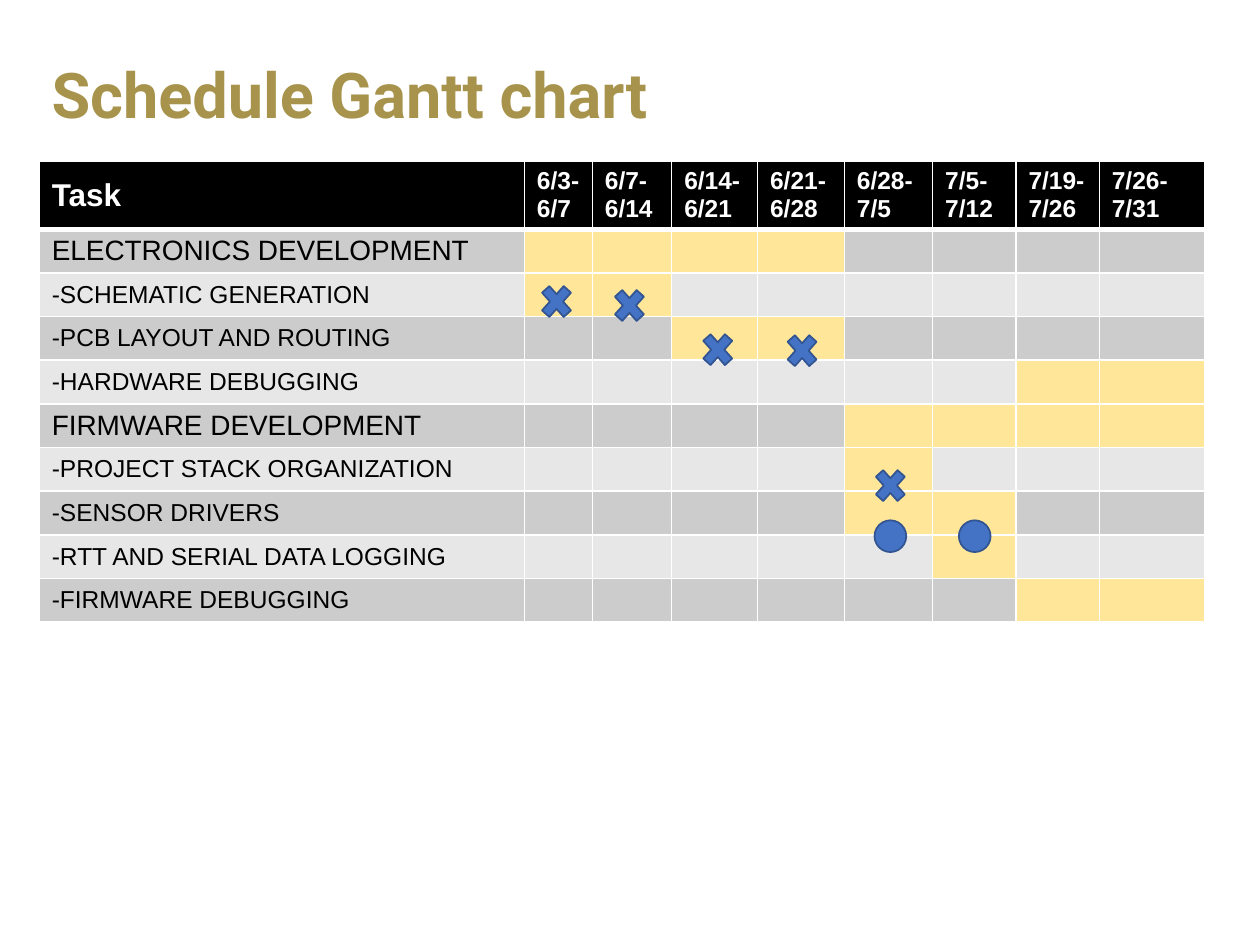
from lxml.etree import SubElement
from pptx import Presentation
from pptx.dml.color import RGBColor
from pptx.enum.shapes import MSO_SHAPE as SHAPE
from pptx.enum.text import MSO_ANCHOR as ANCHOR
from pptx.oxml.ns import qn
from pptx.util import Cm, Pt

GOLD = RGBColor(0xA7, 0x93, 0x4B)
WHITE = RGBColor(0xFF, 0xFF, 0xFF)
BLACK = RGBColor(0, 0, 0)
DARK_GREY = RGBColor(0xCC, 0xCC, 0xCC)
LIGHT_GREY = RGBColor(0xE7, 0xE7, 0xE7)
YELLOW = RGBColor(0xFF, 0xE6, 0x99)
BLUE = RGBColor(0x44, 0x72, 0xC4)
NAVY = RGBColor(0x32, 0x54, 0x91)

HEADERS = ["Task", "6/3-6/7", "6/7-6/14", "6/14-6/21", "6/21-6/28",
           "6/28-7/5", "7/5-7/12", "7/19-7/26", "7/26-7/31"]
COLUMN_WIDTHS = [9.78, 1.37, 1.6, 1.73, 1.75, 1.78, 1.68, 1.68, 2.13]
HEADER_HEIGHT, ROW_HEIGHT = 1.37, 0.88

# Task and the columns in which it is planned
TASKS = [
    ("ELECTRONICS DEVELOPMENT", (1, 2, 3, 4)),
    ("-SCHEMATIC GENERATION", (1, 2)),
    ("-PCB LAYOUT AND ROUTING", (3, 4)),
    ("-HARDWARE DEBUGGING", (7, 8)),
    ("FIRMWARE DEVELOPMENT", (5, 6, 7, 8)),
    ("-PROJECT STACK ORGANIZATION", (5,)),
    ("-SENSOR DRIVERS", (5, 6)),
    ("-RTT AND SERIAL DATA LOGGING", (6,)),
    ("-FIRMWARE DEBUGGING", (7, 8)),
]
DONE_MARKS = [(10.8, 5.61), (12.27, 5.69), (14.05, 6.58), (15.75, 6.6), (17.53, 9.32)]
ONGOING_MARKS = [(17.63, 10.49), (19.33, 10.49)]


def write(tf, text, size=14, color=BLACK, bold=False, font="Arial", spacing=None):
    p = tf.paragraphs[0]
    p.line_spacing = spacing
    if not text:
        # The end mark keeps an empty cell from growing its row
        SubElement(p._p, qn("a:endParaRPr"), sz=str(size * 100))
        return
    r = p.add_run()
    r.text = text
    r.font.size = Pt(size)
    r.font.name = font
    r.font.bold = bold
    r.font.color.rgb = color


def set_borders(cell, bottom=1, top=1):
    """Draw white cell borders with widths in points."""
    tc_pr = cell._tc.get_or_add_tcPr()
    widths = {"a:lnL": 1, "a:lnR": 1, "a:lnT": top, "a:lnB": bottom}
    for tag, width in widths.items():
        ln = SubElement(tc_pr, qn(tag), w=str(Pt(width)))
        fill = SubElement(ln, qn("a:solidFill"))
        SubElement(fill, qn("a:srgbClr"), val=str(WHITE))


def fill_cell(cell, text, fill, top=1, bottom=1, **text_format):
    cell.vertical_anchor = ANCHOR.MIDDLE
    cell.margin_top = cell.margin_bottom = 0
    set_borders(cell, bottom, top)
    cell.fill.solid()
    cell.fill.fore_color.rgb = fill
    write(cell.text_frame, text, **text_format)


def add_title(s, text):
    tf = s.shapes.add_textbox(Cm(0.79), Cm(0.56), Cm(23.83), Cm(2.82)).text_frame
    tf.word_wrap = True
    tf.vertical_anchor = ANCHOR.MIDDLE
    write(tf, text, size=36, color=GOLD, bold=True, font="Roboto", spacing=0.9)


def add_schedule(s):
    height = HEADER_HEIGHT + ROW_HEIGHT * len(TASKS)
    table = s.shapes.add_table(len(TASKS) + 1, len(HEADERS), Cm(0.79), Cm(3.25),
                               Cm(sum(COLUMN_WIDTHS)), Cm(height)).table
    for column, width in zip(table.columns, COLUMN_WIDTHS):
        column.width = Cm(width)
    table.rows[0].height = Cm(HEADER_HEIGHT)
    for col, header in enumerate(HEADERS):
        fill_cell(table.cell(0, col), header, BLACK, bottom=3,
                  size=14 if col else 18, color=WHITE, bold=True)
    for row, (task, planned) in enumerate(TASKS, start=1):
        table.rows[row].height = Cm(ROW_HEIGHT)
        band = DARK_GREY if row % 2 else LIGHT_GREY
        size = 14 if task.startswith("-") else 16
        for col in range(len(HEADERS)):
            fill_cell(table.cell(row, col), "" if col else task,
                      YELLOW if col in planned else band,
                      top=3 if row == 1 else 1, size=size)


def add_marks(s, kind, places, width, height):
    for left, top in places:
        sp = s.shapes.add_shape(kind, Cm(left), Cm(top), Cm(width), Cm(height))
        sp.shadow.inherit = False
        sp.fill.solid()
        sp.fill.fore_color.rgb = BLUE
        sp.line.color.rgb = NAVY
        sp.line.width = Pt(1)


def main():
    prs = Presentation()
    prs.slide_width, prs.slide_height = Cm(25.4), Cm(19.05)
    s = prs.slides.add_slide(prs.slide_layouts[6])
    add_title(s, "Schedule Gantt chart")
    add_schedule(s)
    add_marks(s, SHAPE.MATH_MULTIPLY, DONE_MARKS, 0.84, 0.94)
    add_marks(s, SHAPE.OVAL, ONGOING_MARKS, 0.64, 0.64)
    prs.save("out.pptx")


if __name__ == "__main__":
    main()
